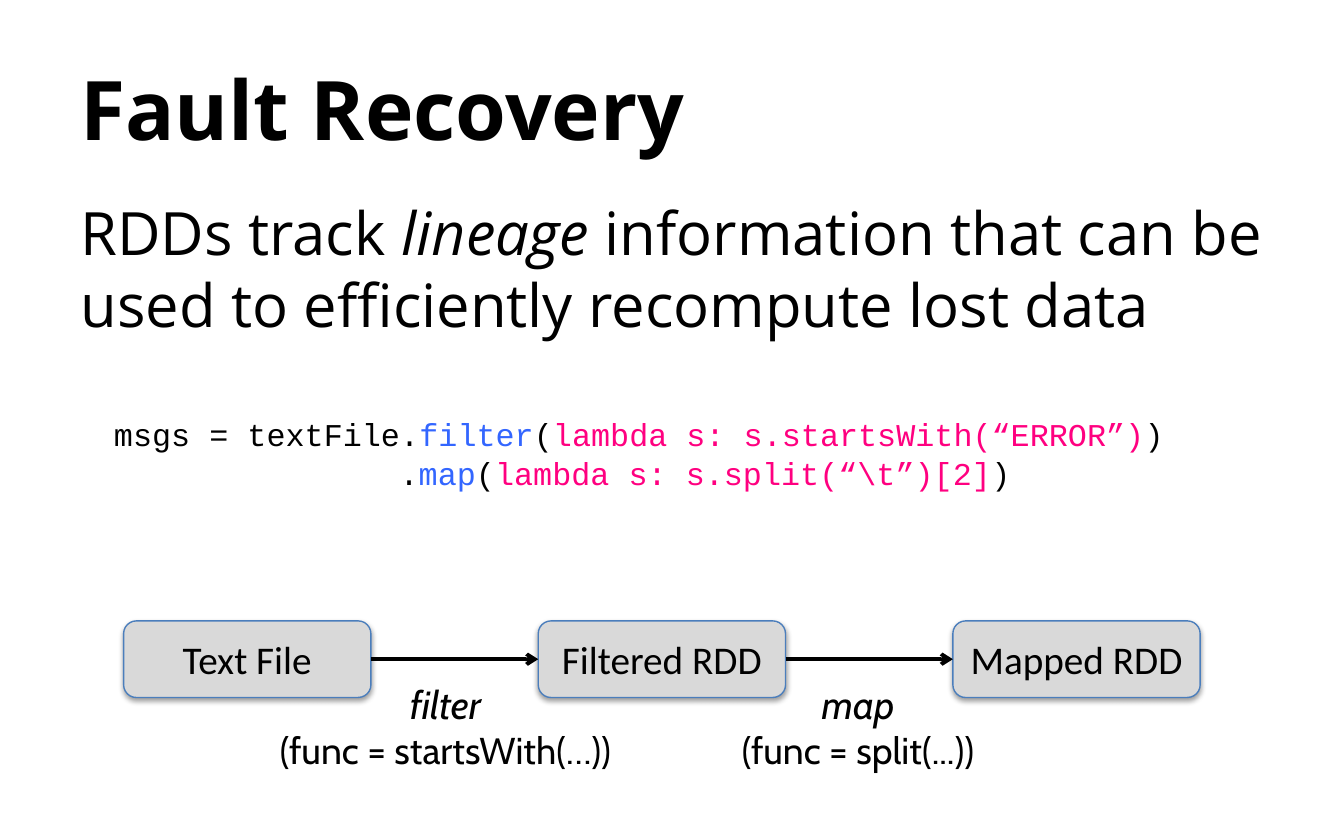
from lxml.etree import SubElement
from pptx import Presentation
from pptx.dml.color import RGBColor
from pptx.enum.shapes import MSO_CONNECTOR, MSO_SHAPE
from pptx.enum.text import MSO_ANCHOR, PP_ALIGN
from pptx.oxml.ns import qn
from pptx.util import Inches, Pt

THEME = {
    "ink": "000000", "call": "3366FF", "arg": "FF0080",
    "fill": "D9D9D9", "edge": "4B7EBC",
    "title": {"name": "Open Sans", "size": Pt(44), "bold": True},
    "body": {"name": "Open Sans", "size": Pt(32)},
    "code": {"name": "Courier New", "size": Pt(17)},
    "box": {"name": "Calibri", "size": Pt(21)},
    "verb": {"name": "Cabin", "size": Pt(21), "italic": True},
    "func": {"name": "Cabin", "size": Pt(20)},
}

TITLE = "Fault Recovery"
BODY = [("RDDs track ", False), ("lineage", True),
        (" information that can be used to efficiently recompute lost data", False)]
CODE = [
    (0, [("msgs = textFile.", "ink"), ("filter", "call"), ("(", "ink"),
         ("lambda s: s.startsWith(“ERROR”)", "arg"), (")", "ink")]),
    (15, [(".", "ink"), ("map", "call"), ("(", "ink"),
          ("lambda s: s.split(“\\t”)[2]", "arg"), (")", "ink")]),
]
STEPS = ["Text File", "Filtered RDD", "Mapped RDD"]
LINKS = [("filter", "(func = startsWith(…))", 1.95, 2.73),
         ("map", "(func = split(...))", 5.38, 2.01)]

LEFT, TOP, WIDE, HIGH, PITCH = 0.92, 4.62, 1.84, 0.57, 3.085


def put(para, text, style, color="ink", **extra):
    run = para.add_run()
    run.text = text
    for key, val in {**THEME[style], **extra}.items():
        setattr(run.font, key, val)
    run.font.color.rgb = RGBColor.from_string(THEME[color])


def add_text(slide, place, wrap=True, anchor=MSO_ANCHOR.TOP):
    frame = slide.shapes.add_textbox(*map(Inches, place)).text_frame
    for key, val in {"word_wrap": wrap, "vertical_anchor": anchor}.items():
        setattr(frame, key, val)
    return frame


def add_code(slide):
    frame = add_text(slide, (0.75, 3.04, 8.47, 0.67))
    for row, (skip, parts) in enumerate(CODE):
        para = frame.add_paragraph() if row else frame.paragraphs[0]
        dent = int(skip * 0.6 * THEME["code"]["size"])
        para._p.get_or_add_pPr().set("marL", str(dent))
        for text, color in parts:
            put(para, text, "code", color)


def add_step(slide, left, text):
    box = slide.shapes.add_shape(
        MSO_SHAPE.ROUNDED_RECTANGLE, *map(Inches, (left, TOP, WIDE, HIGH)))
    box.fill.solid()
    box.fill.fore_color.rgb = RGBColor.from_string(THEME["fill"])
    box.line.color.rgb = RGBColor.from_string(THEME["edge"])
    box.line.width = Pt(0.75)
    box.shadow.inherit = False
    glow = SubElement(box._element.spPr.find(qn("a:effectLst")), qn("a:outerShdw"),
                      blurRad=str(Pt(3.1)), dist=str(Pt(1.6)),
                      dir="5400000", rotWithShape="0")
    tint = SubElement(glow, qn("a:srgbClr"), val=THEME["ink"])
    SubElement(tint, qn("a:alpha"), val="38000")
    frame = box.text_frame
    form = {"margin_left": 0, "margin_right": 0, "word_wrap": True,
            "vertical_anchor": MSO_ANCHOR.MIDDLE}
    for key, val in form.items():
        setattr(frame, key, val)
    para = frame.paragraphs[0]
    para.alignment = PP_ALIGN.CENTER
    put(para, text, "box")


def add_arrow(slide, start, end):
    mid = TOP + HIGH / 2
    line = slide.shapes.add_connector(
        MSO_CONNECTOR.STRAIGHT, *map(Inches, (start, mid, end, mid)))
    line.line.color.rgb = RGBColor.from_string(THEME["ink"])
    line.line.width = Pt(2)
    SubElement(line.line._get_or_add_ln(), qn("a:tailEnd"), type="arrow")
    SubElement(line._element.spPr, qn("a:effectLst"))


def add_label(slide, verb, func, left, wide):
    para = add_text(slide, (left, 5.01, wide, 0.79), wrap=False).paragraphs[0]
    para.alignment = PP_ALIGN.CENTER
    put(para, verb, "verb")
    para.add_line_break()
    put(para, func, "func")


def main():
    deck = Presentation()
    deck.slide_width, deck.slide_height = Inches(10), Inches(6.25)
    slide = deck.slides.add_slide(deck.slide_layouts[6])
    head = add_text(slide, (0.5, 0.28, 9, 1.04), anchor=MSO_ANCHOR.MIDDLE)
    put(head.paragraphs[0], TITLE, "title")
    body = add_text(slide, (0.5, 1.41, 9.08, 3.8)).paragraphs[0]
    for text, slant in BODY:
        put(body, text, "body", italic=slant)
    add_code(slide)
    spots = [LEFT + PITCH * num for num in range(len(STEPS))]
    for left, text in zip(spots, STEPS):
        add_step(slide, left, text)
    for start, end in zip(spots, spots[1:]):
        add_arrow(slide, start + WIDE, end)
    for link in LINKS:
        add_label(slide, *link)
    deck.save("out.pptx")


if __name__ == "__main__":
    main()
